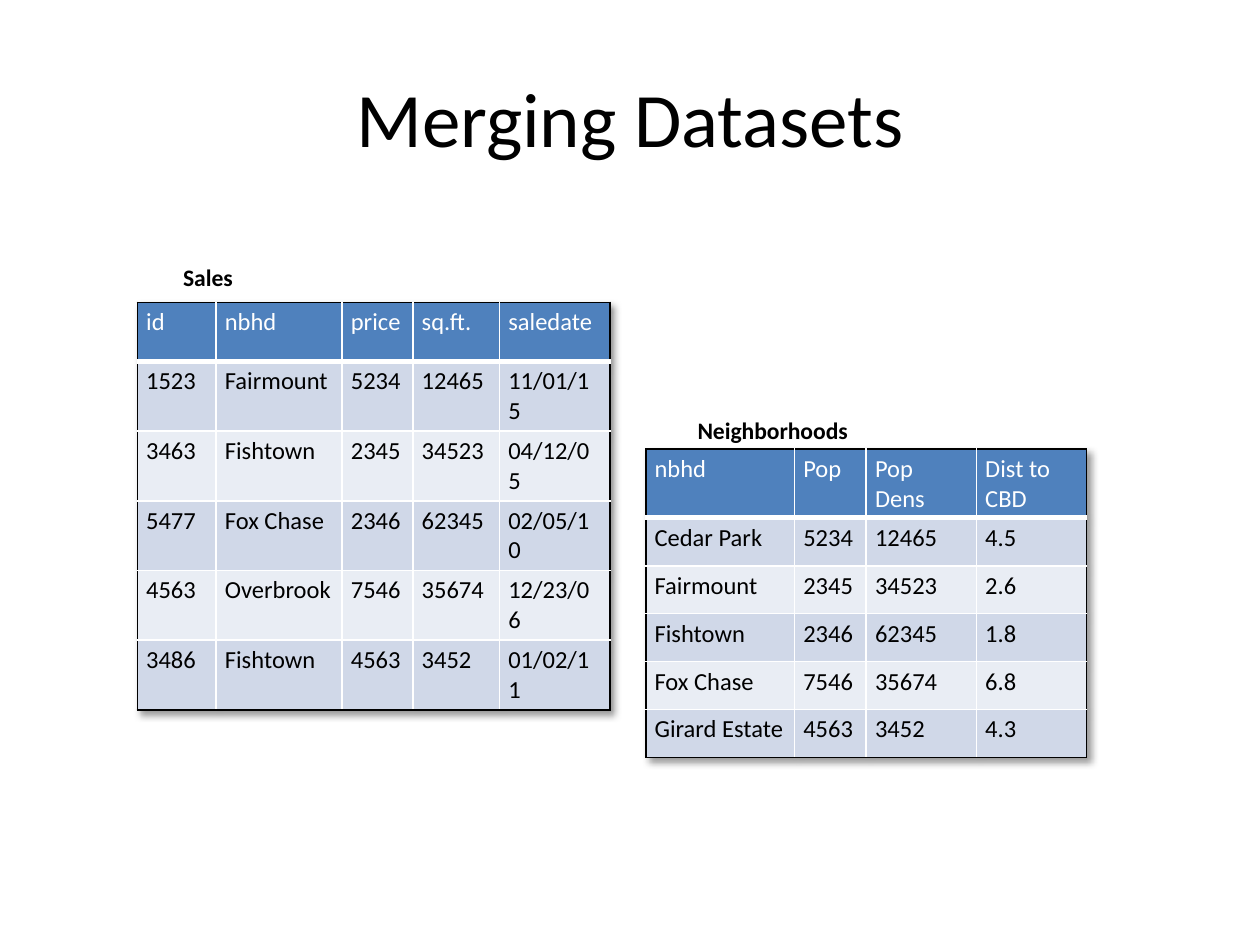
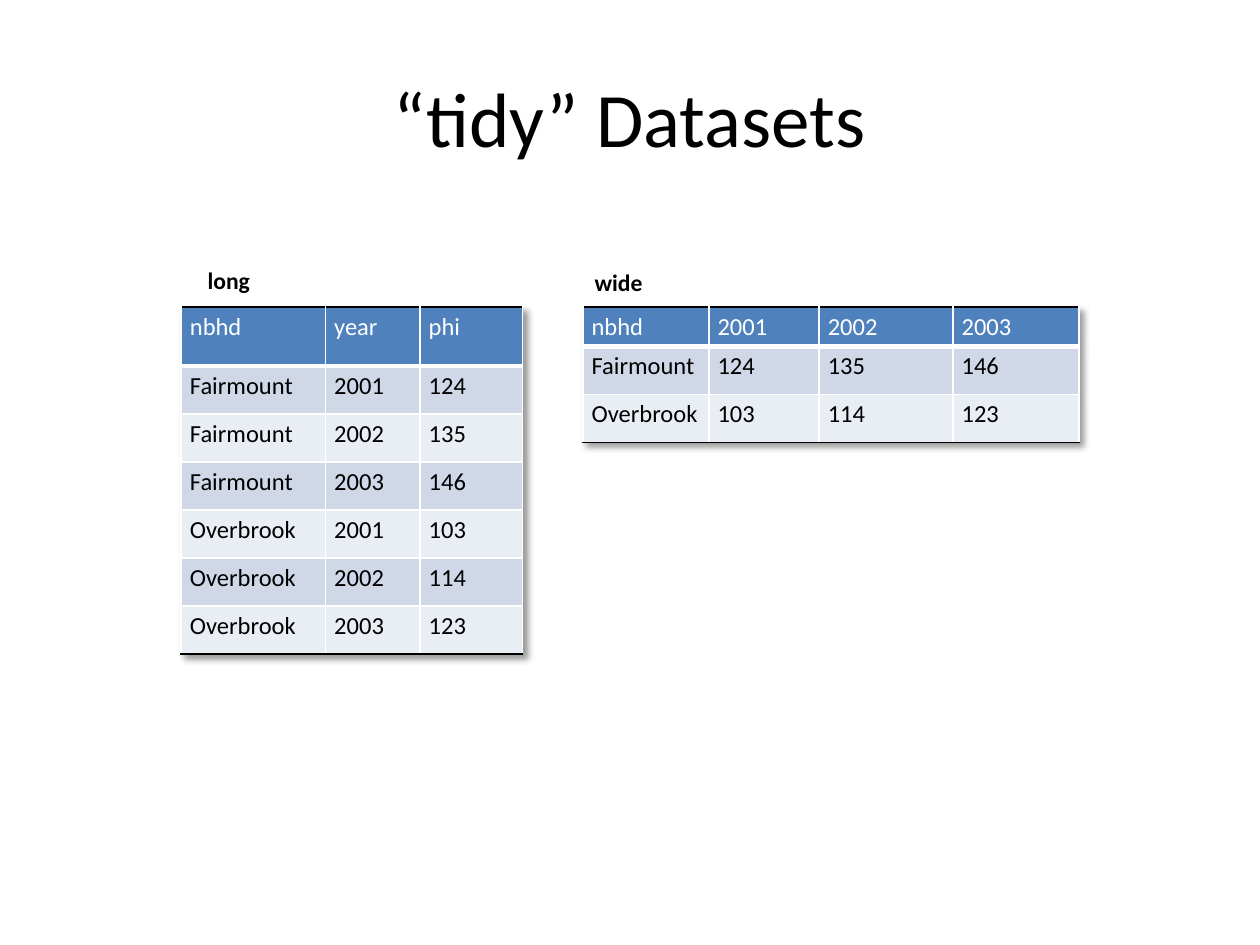
from dataclasses import dataclass
from typing import Any

from lxml.etree import SubElement
from pptx import Presentation
from pptx.dml.color import RGBColor
from pptx.enum.text import MSO_ANCHOR as Anchor, MSO_AUTO_SIZE as AutoSize, PP_ALIGN as Align
from pptx.oxml import parse_xml
from pptx.oxml.ns import nsdecls, qn
from pptx.slide import Slide
from pptx.util import Pt

BLACK = RGBColor(0x00, 0x00, 0x00)
WHITE = RGBColor(0xFF, 0xFF, 0xFF)
HEADER_BLUE = RGBColor(0x4F, 0x81, 0xBD)
BAND_DARK = RGBColor(0xD0, 0xD8, 0xE8)
BAND_LIGHT = RGBColor(0xE9, 0xED, 0xF4)

TITLE_FONT = {"name": "Calibri", "size": Pt(44), "bold": False}
CAPTION_FONT = {"name": "Calibri", "size": Pt(13.5), "bold": True}
CELL_FONT = {"name": "Calibri", "size": Pt(14), "bold": False}
TITLE_BOX = {"left": Pt(36), "top": Pt(21.6), "width": Pt(648), "height": Pt(90)}
CELL_MARGINS = {"margin_left": Pt(5.04), "margin_right": Pt(5.04),
                "margin_top": Pt(2.88), "margin_bottom": Pt(2.88)}
BODY_ROW_HEIGHT = 27.43
THIN, THICK = 1, 3

TABLE_SHADOW = (
    f'<a:effectLst {nsdecls("a")}>'
    '<a:outerShdw blurRad="50800" dist="38100" dir="2700000" algn="tl" rotWithShape="0">'
    '<a:srgbClr val="000000"><a:alpha val="40000"/></a:srgbClr>'
    '</a:outerShdw></a:effectLst>'
)


@dataclass(frozen=True)
class Dataset:
    """A captioned data table; all lengths are in points."""
    caption: str
    caption_at: tuple[float, float]
    caption_width: float
    table_at: tuple[float, float]
    column_widths: list[float]
    header_height: float
    rows: list[list[str]]
    side_frame: bool = False


def apply_format(target: Any, values: dict[str, Any]) -> None:
    """Set every attribute named in values on the target."""
    for attribute, value in values.items():
        setattr(target, attribute, value)


def write_text(frame: Any, text: str, font_format: dict[str, Any], color: RGBColor) -> None:
    """Put one formatted run into a text frame."""
    run = frame.paragraphs[0].add_run()
    run.text = text
    apply_format(run.font, font_format)
    run.font.color.rgb = color


def add_title(slide: Slide, text: str) -> None:
    """Place and format the slide's title placeholder."""
    title = slide.shapes.title
    apply_format(title, TITLE_BOX)
    write_text(title.text_frame, text, TITLE_FONT, BLACK)
    title.text_frame.vertical_anchor = Anchor.MIDDLE
    title.text_frame.paragraphs[0].alignment = Align.CENTER


def set_border(cell: Any, side: str, color: RGBColor, width: float) -> None:
    """Append a solid border on one side (L, R, T or B) of a cell."""
    line = SubElement(cell._tc.get_or_add_tcPr(), qn(f"a:ln{side}"), w=str(Pt(width)))
    SubElement(SubElement(line, qn("a:solidFill")), qn("a:srgbClr"), val=str(color))


def add_dataset(slide: Slide, dataset: Dataset) -> None:
    """Draw the banded, shadowed table and its caption."""
    row_count, column_count = len(dataset.rows), len(dataset.column_widths)
    heights = [dataset.header_height] + [BODY_ROW_HEIGHT] * (row_count - 1)
    left, top = dataset.table_at
    table = slide.shapes.add_table(
        row_count, column_count, Pt(left), Pt(top),
        Pt(sum(dataset.column_widths)), Pt(sum(heights))).table
    table._tbl.tblPr.insert(0, parse_xml(TABLE_SHADOW))
    for column, width in zip(table.columns, dataset.column_widths):
        column.width = Pt(width)
    for row, height in zip(table.rows, heights):
        row.height = Pt(height)

    side_color = BLACK if dataset.side_frame else WHITE
    for r, values in enumerate(dataset.rows):
        is_header, is_last = r == 0, r == row_count - 1
        band = HEADER_BLUE if is_header else BAND_DARK if r % 2 else BAND_LIGHT
        for c, value in enumerate(values):
            cell = table.cell(r, c)
            apply_format(cell, CELL_MARGINS)
            set_border(cell, "L", side_color if c == 0 else WHITE, THIN)
            set_border(cell, "R", side_color if c == column_count - 1 else WHITE, THIN)
            set_border(cell, "T", BLACK if is_header else WHITE, THIN)
            set_border(cell, "B", BLACK if is_last else WHITE, THICK if is_header else THIN)
            cell.fill.solid()
            cell.fill.fore_color.rgb = band
            write_text(cell.text_frame, value, CELL_FONT, WHITE if is_header else BLACK)

    left, top = dataset.caption_at
    caption = slide.shapes.add_textbox(Pt(left), Pt(top), Pt(dataset.caption_width), Pt(23.76))
    apply_format(caption.text_frame, {"word_wrap": False, "auto_size": AutoSize.SHAPE_TO_FIT_TEXT})
    write_text(caption.text_frame, dataset.caption, CAPTION_FONT, BLACK)


SALES = Dataset(
    "Sales", (97.6, 146.9), 43.2, (78.5, 172.8), [45, 72, 40.5, 49.5, 63], 33.75,
    [["id", "nbhd", "price", "sq.ft.", "saledate"],
     ["1523", "Fairmount", "5234", "12465", "11/01/15"],
     ["3463", "Fishtown", "2345", "34523", "04/12/05"],
     ["5477", "Fox Chase", "2346", "62345", "02/05/10"],
     ["4563", "Overbrook", "7546", "35674", "12/23/06"],
     ["3486", "Fishtown", "4563", "3452", "01/02/11"]],
    side_frame=True)

NEIGHBORHOODS = Dataset(
    "Neighborhoods", (391.5, 234), 101.5, (369, 256.5), [85, 41, 63, 63], 38.4,
    [["nbhd", "Pop", "Pop Dens", "Dist to CBD"],
     ["Cedar Park", "5234", "12465", "4.5"],
     ["Fairmount", "2345", "34523", "2.6"],
     ["Fishtown", "2346", "62345", "1.8"],
     ["Fox Chase", "7546", "35674", "6.8"],
     ["Girard Estate", "4563", "3452", "4.3"]],
    side_frame=True)

YEARS = ["2001", "2002", "2003"]
PHI = {"Fairmount": ["124", "135", "146"], "Overbrook": ["103", "114", "123"]}

LONG = Dataset(
    "long", (111.6, 148.3), 38.9, (103.5, 175.5), [82.5, 54, 58.5], 33.75,
    [["nbhd", "year", "phi"]]
    + [[nbhd, year, phi] for nbhd, series in PHI.items() for year, phi in zip(YEARS, series)])

WIDE = Dataset(
    "wide", (332.7, 149.5), 42.5, (333, 175.5), [72, 63, 76.5, 72], 22.2,
    [["nbhd", *YEARS]] + [[nbhd, *series] for nbhd, series in PHI.items()])

SLIDES = {
    "Merging Datasets": [SALES, NEIGHBORHOODS],
    "“tidy” Datasets": [LONG, WIDE],
}


def main() -> None:
    """Build the deck and save it."""
    deck = Presentation()
    apply_format(deck, {"slide_width": Pt(720), "slide_height": Pt(540)})
    title_only = deck.slide_layouts.get_by_name("Title Only")
    for title, datasets in SLIDES.items():
        slide = deck.slides.add_slide(title_only)
        add_title(slide, title)
        for dataset in datasets:
            add_dataset(slide, dataset)
    deck.save("out.pptx")


main()
